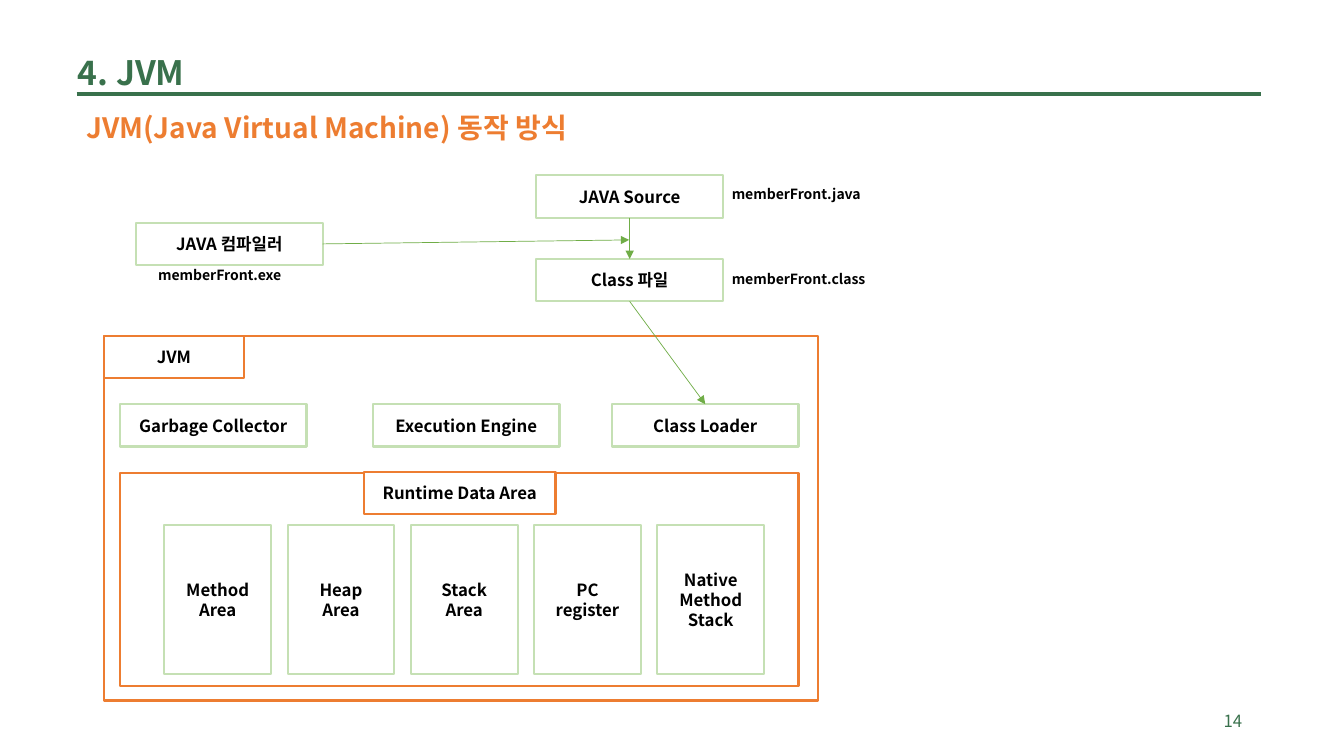
from lxml.etree import SubElement
from pptx import Presentation
from pptx.dml.color import RGBColor
from pptx.enum.shapes import MSO_CONNECTOR, MSO_SHAPE
from pptx.enum.text import MSO_ANCHOR, MSO_AUTO_SIZE, PP_ALIGN
from pptx.oxml.ns import qn
from pptx.util import Inches, Pt

FONT = "Noto Sans CJK KR"
DARK_GREEN = RGBColor(0x39, 0x71, 0x4C)
GREEN = RGBColor(0x70, 0xAD, 0x47)
PALE_GREEN = RGBColor(0xC5, 0xE0, 0xB4)
ORANGE = RGBColor(0xED, 0x7D, 0x31)
BLACK = RGBColor(0, 0, 0)
WHITE = RGBColor(0xFF, 0xFF, 0xFF)

TOP, BOTTOM, RIGHT = 0, 2, 3
BOX_WIDTH, BOX_HEIGHT = 1.85, 0.42


class DiagramSlide:
    def __init__(self, presentation):
        self.slide = presentation.slides.add_slide(presentation.slide_layouts[5])
        self.shapes = self.slide.shapes

    def set_text(self, shape, lines, size, color, bold=True, align=PP_ALIGN.LEFT,
                 anchor=MSO_ANCHOR.TOP, auto_size=MSO_AUTO_SIZE.NONE, spacing=1.0):
        """Put one paragraph per line into the shape and format it."""
        frame = shape.text_frame
        frame_format = {
            "text": "\n".join(lines), "word_wrap": True, "auto_size": auto_size,
            "vertical_anchor": anchor,
            "margin_left": Inches(0.1), "margin_right": Inches(0.1),
            "margin_top": Inches(0.05), "margin_bottom": Inches(0.05),
        }
        for name, value in frame_format.items():
            setattr(frame, name, value)
        font_format = {"name": FONT, "size": Pt(size), "bold": bold}
        for paragraph in frame.paragraphs:
            paragraph.alignment = align
            paragraph.line_spacing = spacing
            for run in paragraph.runs:
                for name, value in font_format.items():
                    setattr(run.font, name, value)
                run.font.color.rgb = color
                east_asian = SubElement(run.font._element, qn("a:ea"))
                east_asian.set("typeface", FONT)

    def title(self, text, left, top, width, height):
        title = self.shapes.title
        position = {"left": left, "top": top, "width": width, "height": height}
        for name, value in position.items():
            setattr(title, name, Inches(value))
        self.set_text(title, [text], 24, DARK_GREEN, spacing=1.5,
                      auto_size=MSO_AUTO_SIZE.SHAPE_TO_FIT_TEXT)

    def text(self, text, left, top, width, height, size, color=BLACK, **text_format):
        box = self.shapes.add_textbox(
            Inches(left), Inches(top), Inches(width), Inches(height))
        self.set_text(box, [text], size, color, **text_format)

    def box(self, lines, left, top, width=BOX_WIDTH, height=BOX_HEIGHT, line=PALE_GREEN):
        """Add a white labelled rectangle."""
        box = self.frame(left, top, width, height, line)
        box.fill.solid()
        box.fill.fore_color.rgb = WHITE
        self.set_text(box, lines, 12, BLACK, align=PP_ALIGN.CENTER, anchor=MSO_ANCHOR.MIDDLE)
        return box

    def frame(self, left, top, width, height, line=ORANGE):
        """Add an unfilled rectangle."""
        frame = self.shapes.add_shape(
            MSO_SHAPE.RECTANGLE, Inches(left), Inches(top), Inches(width), Inches(height))
        frame.shadow.inherit = False
        frame.fill.background()
        frame.line.color.rgb = line
        frame.line.width = Pt(1.5)
        return frame

    def line(self, start, end, color, width):
        connector = self.shapes.add_connector(
            MSO_CONNECTOR.STRAIGHT, *(Inches(value) for value in (*start, *end)))
        connector.line.color.rgb = color
        connector.line.width = Pt(width)
        SubElement(connector._element.spPr, qn("a:effectLst"))
        return connector

    def arrow(self, source, side, end, target=None):
        """Join the source's side to the end point, or to the target's top."""
        connector = self.line((0, 0), end, GREEN, 0.5)
        connector.begin_connect(source, side)
        if target is not None:
            connector.end_connect(target, TOP)
        head = SubElement(connector._element.spPr.get_or_add_ln(), qn("a:tailEnd"))
        head.set("type", "triangle")


def main():
    presentation = Presentation()
    presentation.slide_width = Inches(13.33)
    presentation.slide_height = Inches(7.5)
    page = DiagramSlide(presentation)

    page.title("4. JVM", 0.67, 0.26, 4.71, 0.63)
    page.line((0.76, 0.93), (12.51, 0.93), DARK_GREEN, 3)
    page.text("JVM(Java Virtual Machine) 동작 방식", 0.76, 1.05, 8.12, 0.44, 20, ORANGE)
    page.text("14", 9.42, 6.95, 3, 0.4, 12, DARK_GREEN, bold=False,
              align=PP_ALIGN.RIGHT, anchor=MSO_ANCHOR.MIDDLE)

    compiler = page.box(["JAVA 컴파일러"], 1.35, 2.21)
    source = page.box(["JAVA Source"], 5.32, 1.74)
    class_file = page.box(["Class 파일"], 5.32, 2.57)
    page.arrow(source, BOTTOM, (6.24, 2.57), class_file)
    page.arrow(compiler, RIGHT, (6.24, 2.38))

    page.frame(1.03, 3.33, 7.08, 3.62)
    page.box(["JVM"], 1.03, 3.33, width=1.39, line=ORANGE)
    page.box(["Garbage Collector"], 1.19, 4.01)
    page.box(["Execution Engine"], 3.7, 4.01)
    class_loader = page.box(["Class Loader"], 6.07, 4.01)
    page.arrow(class_file, BOTTOM, (7, 4.01), class_loader)

    page.frame(1.19, 4.69, 6.73, 2.12)
    page.box(["Runtime Data Area"], 3.61, 4.68, width=1.9, line=ORANGE)
    memory_areas = [
        ["Method Area"], ["Heap", "Area"], ["Stack", "Area"],
        ["PC", "register"], ["Native", "Method", "Stack"],
    ]
    area_step = 4.89 / (len(memory_areas) - 1)
    for index, lines in enumerate(memory_areas):
        page.box(lines, 1.63 + index * area_step, 5.21, 1.06, 1.48)

    file_labels = [
        ("memberFront.exe", 1.47, 2.59),
        ("memberFront.java", 7.16, 1.79),
        ("memberFront.class", 7.16, 2.63),
    ]
    for name, left, top in file_labels:
        page.text(name, left, top, 1.57, 0.27, 10)

    presentation.save("out.pptx")


if __name__ == "__main__":
    main()
